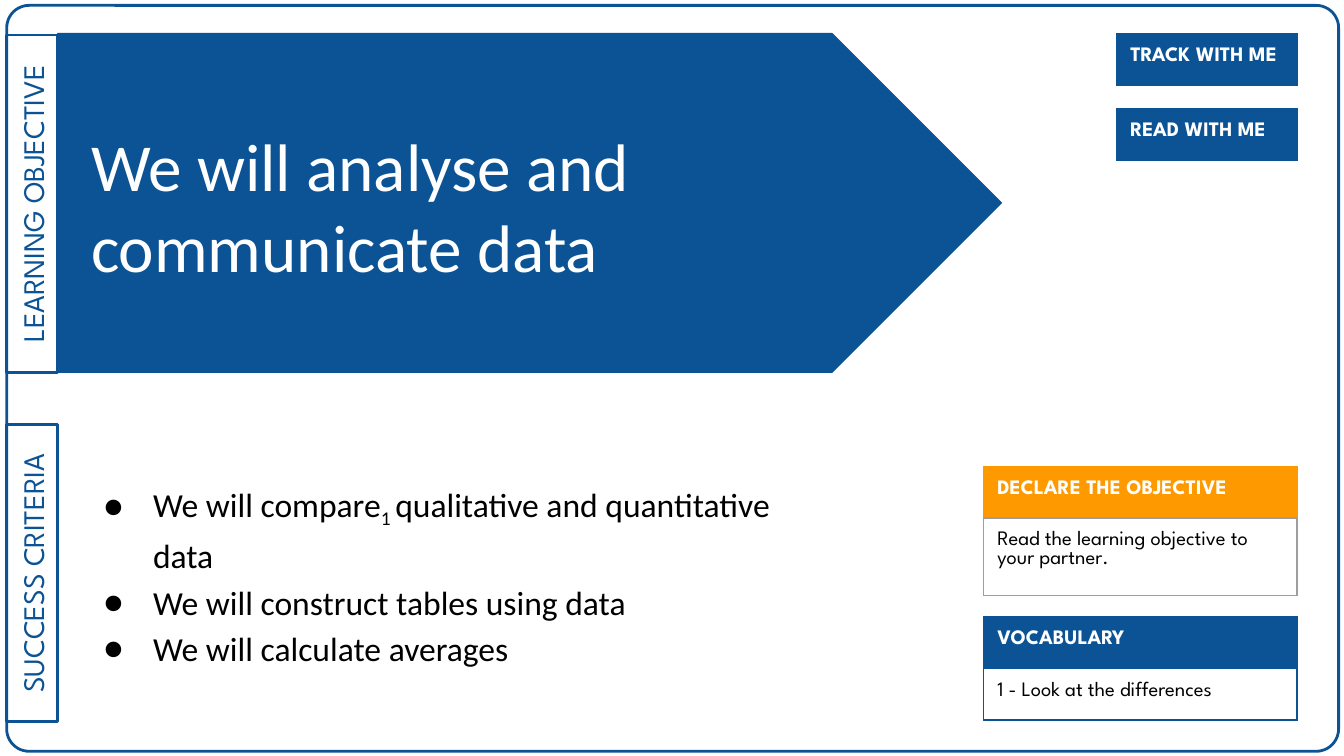
from copy import deepcopy
from dataclasses import dataclass
from typing import Optional

from lxml.etree import SubElement
from pptx import Presentation
from pptx.dml.color import RGBColor
from pptx.enum.shapes import MSO_SHAPE as Preset
from pptx.enum.text import MSO_ANCHOR as Anchor, PP_ALIGN as Align
from pptx.oxml.ns import qn
from pptx.util import Inches, Pt


@dataclass(frozen=True)
class Theme:
    blue: str = "0B5394"
    orange: str = "FF9900"
    grey: str = "9E9E9E"
    white: str = "FFFFFF"
    black: str = "000000"
    body_font: str = "Calibri"
    label_font: str = "League Spartan"
    title_size: int = 36
    body_size: int = 18
    tab_size: int = 16
    card_size: int = 11
    inset: float = 0.1


THEME = Theme()
FRAME_LEFT = 0.05
TAB_WIDTH = 0.38
HEADER_HEIGHT = 0.34


@dataclass(frozen=True)
class Tab:
    text: str
    top: float
    length: float


@dataclass(frozen=True)
class Card:
    heading: str
    left: float
    top: float
    width: float
    color: str = THEME.blue
    detail: Optional[str] = None
    detail_height: float = HEADER_HEIGHT
    detail_border: str = THEME.blue


@dataclass(frozen=True)
class Span:
    text: str
    baseline: int = 0


TABS = [
    Tab("LEARNING OBJECTIVE", 0.26, 2.51),
    Tab("SUCCESS CRITERIA", 3.16, 2.21),
]
CARDS = [
    Card("DECLARE THE OBJECTIVE", 7.32, 3.47, 2.33, THEME.orange,
         "Read the learning objective to your partner.", 0.58, THEME.grey),
    Card("TRACK WITH ME", 8.31, 0.25, 1.34),
    Card("READ WITH ME", 8.31, 0.81, 1.34),
    Card("VOCABULARY", 7.32, 4.59, 2.33, detail="1 - Look at the differences"),
]
CRITERIA = [
    [Span("We will compare"), Span("1 ", -25000),
     Span("qualitative and quantitative data")],
    [Span("We will construct tables using data")],
    [Span("We will calculate averages")],
]


def add_span(para, text: str, size: int, font: str, color: str, bold: bool = False):
    """Add a run that uses one font for every script."""
    span = para.add_run()
    span.text = text
    span.font.size = Pt(size)
    span.font.name = font
    span.font.bold = bold
    span.font.color.rgb = RGBColor.from_string(color)
    for script in ("ea", "cs"):
        SubElement(span.font._element, qn(f"a:{script}"), typeface=font)
    return span


def close_para(para, span) -> None:
    """Give the paragraph end the format of its run, so the row stays tight."""
    end = SubElement(para._p, qn("a:endParaRPr"), dict(span.font._element.attrib))
    for child in span.font._element:
        end.append(deepcopy(child))


def set_margins(holder) -> None:
    """Give a text frame or a table cell the same inset on every side."""
    for side in ("left", "right", "top", "bottom"):
        setattr(holder, f"margin_{side}", Inches(THEME.inset))


def add_outline(page, preset, left: float, top: float, width: float, height: float,
                weight: float, fill: Optional[str] = None):
    shape = page.shapes.add_shape(
        preset, Inches(left), Inches(top), Inches(width), Inches(height))
    shape.shadow.inherit = False
    if fill:
        shape.fill.solid()
        shape.fill.fore_color.rgb = RGBColor.from_string(fill)
    else:
        shape.fill.background()
    shape.line.color.rgb = RGBColor.from_string(THEME.blue)
    shape.line.width = Pt(weight)
    return shape


def add_tab(page, tab: Tab) -> None:
    """Add a label that reads upwards along the left edge of the frame."""
    left = FRAME_LEFT + (TAB_WIDTH - tab.length) / 2
    top = tab.top + (tab.length - TAB_WIDTH) / 2
    shape = add_outline(page, Preset.RECTANGLE, left, top, tab.length, TAB_WIDTH, 1.5)
    shape.rotation = 270
    frame = shape.text_frame
    frame.vertical_anchor = Anchor.MIDDLE
    set_margins(frame)
    para = frame.paragraphs[0]
    para.alignment = Align.CENTER
    add_span(para, tab.text, THEME.tab_size, THEME.label_font, THEME.blue)


def add_text_frame(page, left: float, top: float, width: float, height: float):
    box = page.shapes.add_textbox(
        Inches(left), Inches(top), Inches(width), Inches(height))
    frame = box.text_frame
    frame.word_wrap = True
    frame.vertical_anchor = Anchor.MIDDLE
    set_margins(frame)
    return frame


def add_bullet(para) -> None:
    props = para._p.get_or_add_pPr()
    props.set("marL", str(Inches(0.5)))
    props.set("indent", str(Inches(-0.37)))
    color = SubElement(props, qn("a:buClr"))
    SubElement(color, qn("a:srgbClr"), val=THEME.black)
    SubElement(props, qn("a:buFont"), typeface=THEME.body_font)
    SubElement(props, qn("a:buChar"), char="●")


def add_criteria(page) -> None:
    frame = add_text_frame(page, 0.54, 3.16, 5.68, 2.2)
    for index, spans in enumerate(CRITERIA):
        para = frame.add_paragraph() if index else frame.paragraphs[0]
        add_bullet(para)
        para.line_spacing = 1.15
        for item in spans:
            span = add_span(para, item.text, THEME.body_size, THEME.body_font, THEME.black)
            if item.baseline:
                span.font._element.set("baseline", str(item.baseline))


def set_borders(cell, color: str) -> None:
    props = cell._tc.get_or_add_tcPr()
    for position, edge in enumerate(("lnL", "lnR", "lnT", "lnB")):
        line = SubElement(props, qn(f"a:{edge}"), w=str(Pt(0.75)))
        fill = SubElement(line, qn("a:solidFill"))
        SubElement(fill, qn("a:srgbClr"), val=color)
        props.insert(position, line)


def fill_cell(cell, text: str, color: str, border: str,
              fill: Optional[str] = None) -> None:
    if fill:
        cell.fill.solid()
        cell.fill.fore_color.rgb = RGBColor.from_string(fill)
    else:
        cell.fill.background()
    set_borders(cell, border)
    set_margins(cell)
    para = cell.text_frame.paragraphs[0]
    span = add_span(para, text, THEME.card_size, THEME.label_font, color, bold=bool(fill))
    close_para(para, span)


def add_card(page, card: Card) -> None:
    heights = [HEADER_HEIGHT] + ([card.detail_height] if card.detail else [])
    table = page.shapes.add_table(
        len(heights), 1, Inches(card.left), Inches(card.top),
        Inches(card.width), Inches(sum(heights))).table
    table.first_row = table.horz_banding = False
    for row, height in zip(table.rows, heights):
        row.height = Inches(height)
    if card.detail:
        fill_cell(table.cell(1, 0), card.detail, THEME.black, card.detail_border)
    fill_cell(table.cell(0, 0), card.heading, THEME.white, card.color, card.color)


def main() -> None:
    deck = Presentation()
    deck.slide_width, deck.slide_height = Inches(10), Inches(10 * 9 / 16)
    page = deck.slides.add_slide(deck.slide_layouts[6])

    border = add_outline(page, Preset.ROUNDED_RECTANGLE, FRAME_LEFT, 0.04, 9.91, 5.55, 1.5)
    border.adjustments[0] = 0.03
    add_outline(page, Preset.PENTAGON, FRAME_LEFT + TAB_WIDTH, 0.25, 7.02, 2.52, 0.75, THEME.blue)
    for tab in TABS:
        add_tab(page, tab)
    add_criteria(page)
    title = add_text_frame(page, 0.58, 0.52, 5.54, 2.01)
    add_span(title.paragraphs[0], "We will analyse and communicate data",
             THEME.title_size, THEME.body_font, THEME.white)
    for card in CARDS:
        add_card(page, card)
    deck.save("out.pptx")


if __name__ == "__main__":
    main()
